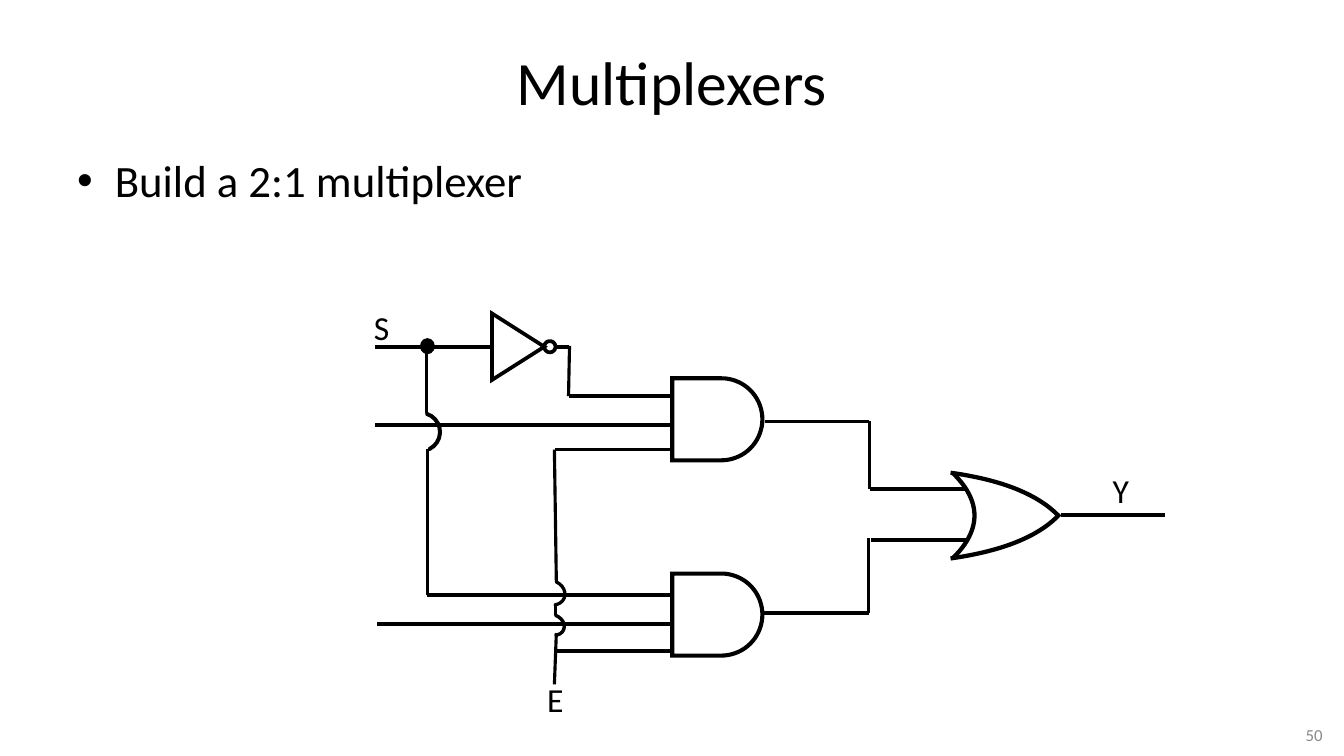
from math import cos, pi, sin

from lxml.etree import SubElement
from pptx import Presentation
from pptx.dml.color import RGBColor
from pptx.enum.shapes import MSO_CONNECTOR, MSO_SHAPE
from pptx.enum.text import MSO_ANCHOR, MSO_AUTO_SIZE, PP_ALIGN
from pptx.oxml.ns import qn
from pptx.util import Pt

THEME = {
    "font": "Calibri",
    "ink": RGBColor(0, 0, 0),
    "grey": RGBColor(0x89, 0x89, 0x89),
    "title": 44, "body": 32, "label": 24, "number": 12,
    "wire": 2.66, "drop": 2.25, "and": 2.93, "or": 3.07, "solid": 2,
}

prs = Presentation()
prs.slide_width, prs.slide_height = Pt(960), Pt(540)
s = prs.slides.add_slide(prs.slide_layouts[6])


def bezier(a, b, c, d, steps=24):
    """Points along a cubic curve from a to d."""
    ts = [i / steps for i in range(steps + 1)]
    return [tuple((1 - t) ** 3 * p + 3 * (1 - t) ** 2 * t * q
                  + 3 * (1 - t) * t * t * u + t ** 3 * v
                  for p, q, u, v in zip(a, b, c, d)) for t in ts]


def outline(points, width, close=True):
    """Unfilled freeform through the given points."""
    pts = [(Pt(x), Pt(y)) for x, y in points]
    fb = s.shapes.build_freeform(*pts[0], scale=1.0)
    fb.add_line_segments(pts[1:], close=close)
    sp = fb.convert_to_shape()
    sp.shadow.inherit = False
    sp.fill.background()
    sp.line.color.rgb = THEME["ink"]
    sp.line.width = Pt(width)
    SubElement(sp.line._get_or_add_ln(), qn("a:miter"), lim="800000")


# Title, bullet, slide number and signal labels
left, centre, right = PP_ALIGN.LEFT, PP_ALIGN.CENTER, PP_ALIGN.RIGHT
texts = [
    ("Multiplexers", "title", (48, 21.6, 864, 72.7), centre, "ink"),
    ("Build a 2:1 multiplexer", "body", (48, 105.8, 864, 396.7), left, "ink"),
    ("50", "number", (848.9, 514.1, 103, 20.9), right, "grey"),
    ("S", "label", (259.9, 216, 25.9, 36), left, "ink"),
    ("E", "label", (383.8, 481.7, 26.6, 36), left, "ink"),
    ("Y", "label", (787.7, 331.9, 26.6, 36), left, "ink"),
]
for text, role, box, align, color in texts:
    tf = s.shapes.add_textbox(*map(Pt, box)).text_frame
    tf.word_wrap = role != "label"
    if role == "label":
        tf.auto_size = MSO_AUTO_SIZE.SHAPE_TO_FIT_TEXT
    if role in ("title", "number"):
        tf.vertical_anchor = MSO_ANCHOR.MIDDLE
    p = tf.paragraphs[0]
    p.alignment = align
    if role == "body":
        pPr = p._p.get_or_add_pPr()
        pPr.set("marL", str(Pt(27)))
        pPr.set("indent", str(Pt(-27)))
        SubElement(pPr, qn("a:buFont"), typeface="Arial")
        SubElement(pPr, qn("a:buChar"), char="•")
    r = p.add_run()
    r.text = text
    r.font.name = THEME["font"]
    r.font.size = Pt(THEME[role])
    r.font.color.rgb = THEME[color]

# AND gates: flat back, half-round front
RADIUS = 29.3
for top in (270.2, 409.7):
    front = [(515.3 + RADIUS * sin(pi * i / 36), top + RADIUS - RADIUS * cos(pi * i / 36))
             for i in range(37)]
    outline([(480.2, top), *front, (480.2, top + 2 * RADIUS)], THEME["and"])

# OR gate: hollow back, two curves meeting at the tip
outline(bezier((680.4, 337.7), (701.3, 357.8), (701.3, 378.7), (680.4, 398.9)),
        THEME["or"], close=False)
outline(bezier((679, 398.9), (715, 393.8), (740.9, 383.8), (756, 368.3))
        + bezier((756, 368.3), (740.9, 352.8), (715, 342.7), (679, 337.7)),
        THEME["or"], close=False)

# Inverter: triangle and bubble
outline([(351.4, 223.9), (388.8, 247.7), (351.4, 271.4)], THEME["wire"])
outline([(392.8 + 4 * cos(pi * i / 12), 247.7 + 4 * sin(pi * i / 12)) for i in range(24)],
        THEME["wire"])

# Wires: level runs are a little heavier than the drops
wires = [
    # select line, inverter and its branch
    (267.8, 247.7, 351.4, 247.7), (396.7, 247.7, 406.1, 247.7),
    (406.8, 247, 406.1, 283), (406.1, 283, 480.2, 283),
    (304.6, 248.4, 304.6, 295.2), (305.3, 320.4, 305.3, 424.8),
    (305.3, 424.8, 480.2, 424.8),
    # data inputs
    (267.8, 303.8, 480.2, 303.8), (269.3, 445.7, 480.2, 445.7),
    # enable line
    (396.7, 321.1, 480.2, 321.1), (396, 321.1, 397.4, 415.4),
    (396.7, 432, 396.7, 439.2), (397.4, 452.2, 396, 488.9),
    (396, 465.1, 480.2, 465.1),
    # gate outputs
    (546.5, 301, 620.6, 301), (621.4, 301, 621.4, 349.2),
    (621.4, 349.2, 690.5, 349.2), (544.3, 437.8, 620.6, 437.8),
    (620.6, 384.5, 620.6, 437.8), (622.1, 385.9, 691.2, 385.9),
    (758.2, 367.9, 832.3, 367.9),
]
for x1, y1, x2, y2 in wires:
    c = s.shapes.add_connector(MSO_CONNECTOR.STRAIGHT, Pt(x1), Pt(y1), Pt(x2), Pt(y2))
    c.line.color.rgb = THEME["ink"]
    c.line.width = Pt(THEME["wire" if y1 == y2 else "drop"])
    SubElement(c._element.spPr, qn("a:effectLst"))

# Junction dot, and arcs where a drop hops over a wire
solids = [
    (MSO_SHAPE.FLOWCHART_CONNECTOR, (301, 242.6, 8.6, 9.4), 0, ()),
    (MSO_SHAPE.BLOCK_ARC, (286.6, 294.5, 28.1, 28.1), 107.8, (108, 189.66, 0.03)),
    (MSO_SHAPE.BLOCK_ARC, (385.2, 413.3, 17.3, 20.2), 113.8, (108, 191.66, 0.02)),
    (MSO_SHAPE.BLOCK_ARC, (386.6, 437, 15.1, 18.7), 111.8, (108, 189.66, 0.03)),
]
for kind, box, turn, adjustments in solids:
    sp = s.shapes.add_shape(kind, *map(Pt, box))
    sp.rotation = turn
    for i, value in enumerate(adjustments):
        sp.adjustments[i] = value
    sp.shadow.inherit = False
    sp.fill.solid()
    sp.fill.fore_color.rgb = THEME["ink"]
    sp.line.color.rgb = THEME["ink"]
    sp.line.width = Pt(THEME["solid"])

prs.save("out.pptx")
